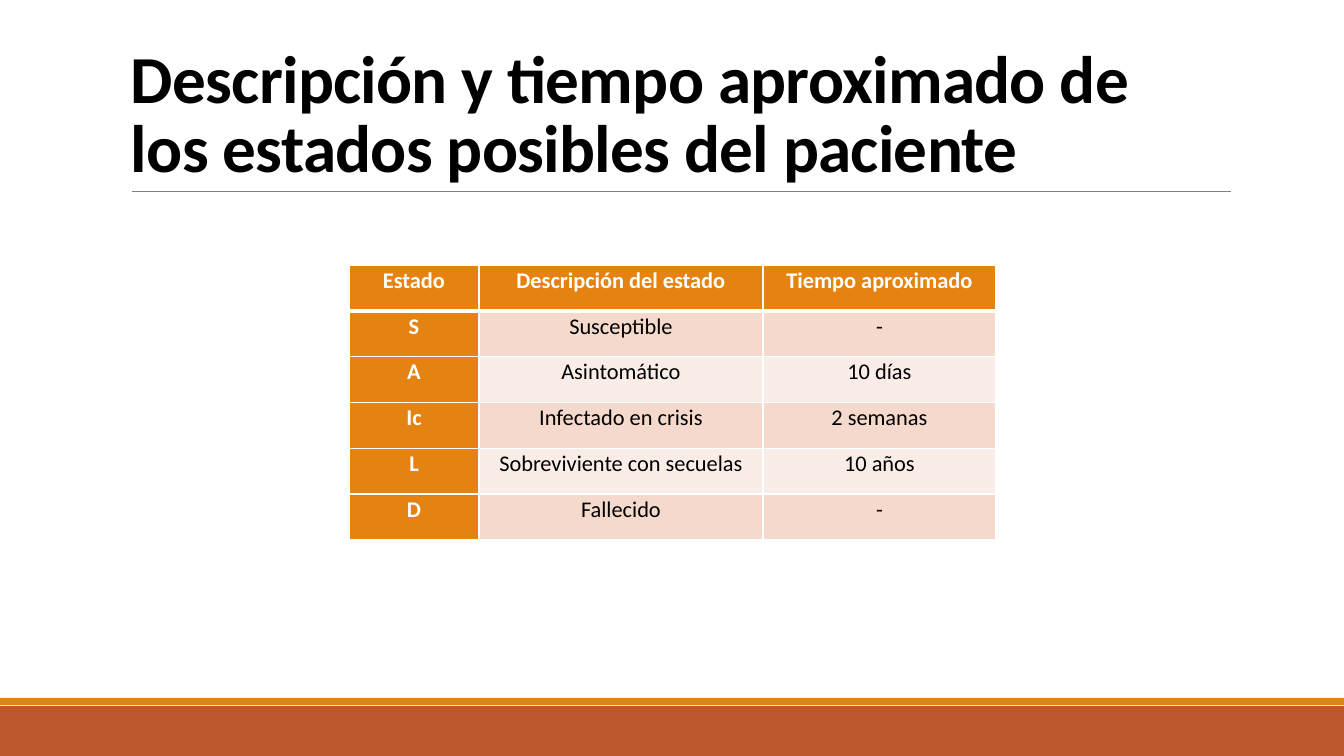
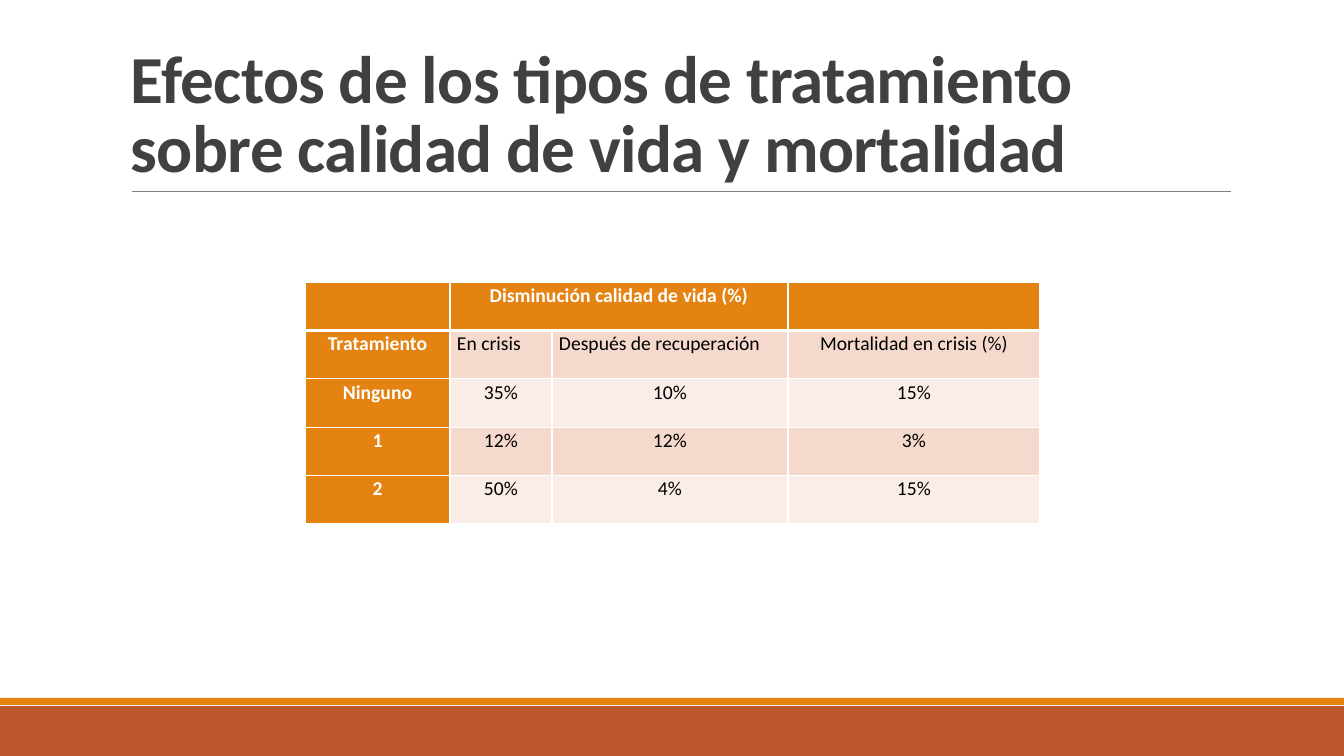
import dataclasses

import lxml.etree
import pptx
import pptx.dml.color
import pptx.enum.shapes
import pptx.enum.text
import pptx.oxml.ns
import pptx.util

SLIDE_WIDTH, SLIDE_HEIGHT = 1344, 756
EMU_PER_PX = 12192000 / SLIDE_WIDTH


def px(length):
    return pptx.util.Emu(round(length * EMU_PER_PX))


def rgb(value):
    return pptx.dml.color.RGBColor.from_string(value)


@dataclasses.dataclass(frozen=True)
class Theme:
    font: str = "Calibri"
    accent: str = "E48312"
    footer: str = "BD582C"
    rule: str = "808080"
    white: str = "FFFFFF"
    black: str = "000000"
    gray: str = "404040"
    row_fills: tuple = ("F5D9CC", "FAEDE7")
    title_size: int = 48
    rule_width: float = 0.5
    border_width: int = 1
    header_border_width: int = 3


class Deck:
    def __init__(self, theme):
        self.theme = theme
        self.presentation = pptx.Presentation()
        self.presentation.slide_width = px(SLIDE_WIDTH)
        self.presentation.slide_height = px(SLIDE_HEIGHT)
        self.slide = None

    def add_slide(self, title, title_color):
        self.slide = self.presentation.slides.add_slide(self.presentation.slide_layouts[6])
        self.add_band(706, 50, self.theme.footer)
        self.add_band(698, 7, self.theme.accent)
        self.add_rule(132, 1231, 191)
        self.add_title(title, title_color)

    def add_band(self, top, height, color):
        shape = self.slide.shapes.add_shape(
            pptx.enum.shapes.MSO_SHAPE.RECTANGLE, 0, px(top), px(SLIDE_WIDTH), px(height))
        shape.shadow.inherit = False
        shape.fill.solid()
        shape.fill.fore_color.rgb = rgb(color)
        shape.line.fill.background()

    def add_rule(self, left, right, top):
        connector = self.slide.shapes.add_connector(
            pptx.enum.shapes.MSO_CONNECTOR.STRAIGHT, px(left), px(top), px(right), px(top))
        connector.line.color.rgb = rgb(self.theme.rule)
        connector.line.width = pptx.util.Pt(self.theme.rule_width)
        lxml.etree.SubElement(connector._element.spPr, pptx.oxml.ns.qn("a:effectLst"))

    def style_font(self, paragraph, size, color, bold):
        font = paragraph.font
        font.name = self.theme.font
        font.size = pptx.util.Pt(size)
        font.bold = bold
        font.color.rgb = rgb(color)

    def add_title(self, text, color):
        text_frame = self.slide.shapes.add_textbox(px(121), px(31), px(1109), px(160)).text_frame
        text_frame.word_wrap = True
        text_frame.vertical_anchor = pptx.enum.text.MSO_ANCHOR.BOTTOM
        paragraph = text_frame.paragraphs[0]
        paragraph.text = text
        paragraph.line_spacing = 0.85
        self.style_font(paragraph, self.theme.title_size, color, True)
        paragraph.font._rPr.set("spc", "-50")

    def add_table(self, left, top, height, column_widths, rows, size, merges=(), left_cells=()):
        table = self.slide.shapes.add_table(
            len(rows), len(column_widths), px(left), px(top),
            px(sum(column_widths)), px(height)).table
        table.first_col = True
        for column, width in zip(table.columns, column_widths):
            column.width = px(width)
        for row_index, row in enumerate(rows):
            for column_index, text in enumerate(row):
                cell = table.cell(row_index, column_index)
                is_heading = row_index == 0 or column_index == 0
                self.add_borders(cell, row_index)
                self.fill_cell(cell, row_index, is_heading)
                is_left = (row_index, column_index) in left_cells
                self.write_cell(cell, text, size, is_heading, is_left)
        for first, last in merges:
            table.cell(*first).merge(table.cell(*last))

    def add_borders(self, cell, row_index):
        thin, thick = self.theme.border_width, self.theme.header_border_width
        widths = {
            "lnL": thin,
            "lnR": thin,
            "lnT": thick if row_index == 1 else thin,
            "lnB": thick if row_index == 0 else thin,
        }
        properties = cell._tc.get_or_add_tcPr()
        qn = pptx.oxml.ns.qn
        for side, width in widths.items():
            line = lxml.etree.SubElement(properties, qn(f"a:{side}"), w=str(pptx.util.Pt(width)))
            fill = lxml.etree.SubElement(line, qn("a:solidFill"))
            lxml.etree.SubElement(fill, qn("a:srgbClr"), val=self.theme.white)

    def fill_cell(self, cell, row_index, is_heading):
        row_fills = self.theme.row_fills
        color = self.theme.accent if is_heading else row_fills[(row_index - 1) % len(row_fills)]
        cell.fill.solid()
        cell.fill.fore_color.rgb = rgb(color)

    def write_cell(self, cell, text, size, is_heading, is_left):
        cell.margin_left = cell.margin_right = px(7)
        cell.margin_top = cell.margin_bottom = 0
        alignment = pptx.enum.text.PP_ALIGN
        paragraph = cell.text_frame.paragraphs[0]
        paragraph.text = text
        paragraph.alignment = alignment.LEFT if is_left else alignment.CENTER
        paragraph.line_spacing = 1.07
        paragraph.space_after = pptx.util.Pt(8)
        color = self.theme.white if is_heading else self.theme.black
        self.style_font(paragraph, size, color, is_heading)


def main():
    theme = Theme()
    deck = Deck(theme)

    deck.add_slide(
        "Descripción y tiempo aproximado de los estados posibles del paciente", theme.black)
    deck.add_table(349, 265, 275, (130, 284, 233), (
        ("Estado", "Descripción del estado", "Tiempo aproximado"),
        ("S", "Susceptible", "-"),
        ("A", "Asintomático", "10 días"),
        ("Ic", "Infectado en crisis", "2 semanas"),
        ("L", "Sobreviviente con secuelas", "10 años"),
        ("D", "Fallecido", "-"),
    ), size=16)

    deck.add_slide(
        "Efectos de los tipos de tratamiento sobre calidad de vida y mortalidad", theme.gray)
    deck.add_table(305, 282, 242, (145, 102, 236, 252), (
        ("", "Disminución calidad de vida (%)", "", ""),
        ("Tratamiento", "En crisis", "Después de recuperación", "Mortalidad en crisis (%)"),
        ("Ninguno", "35%", "10%", "15%"),
        ("1", "12%", "12%", "3%"),
        ("2", "50%", "4%", "15%"),
    ), size=14, merges=(((0, 1), (0, 2)),), left_cells=((1, 1), (1, 2)))

    deck.presentation.save("out.pptx")


if __name__ == "__main__":
    main()
